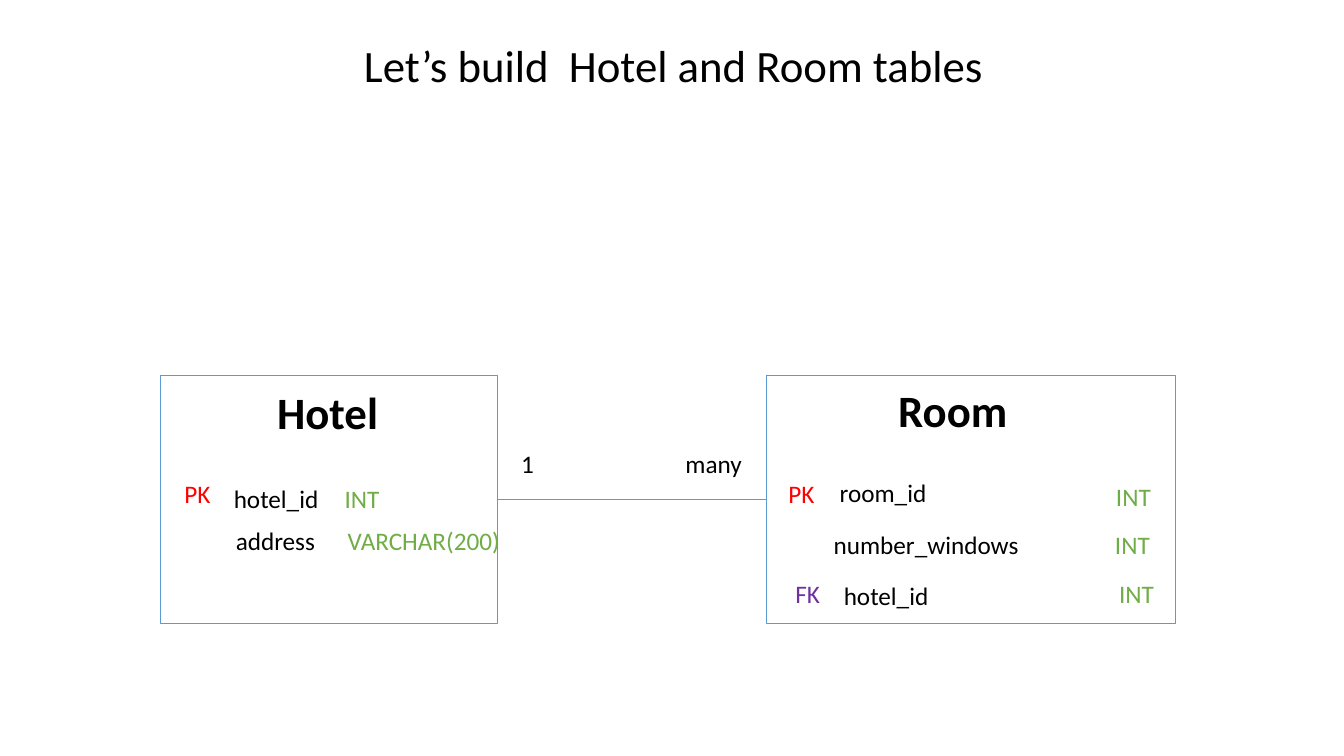
from dataclasses import dataclass

from lxml.etree import SubElement
from pptx import Presentation
from pptx.dml.color import RGBColor
from pptx.enum.shapes import MSO_CONNECTOR, MSO_SHAPE
from pptx.enum.text import MSO_ANCHOR, MSO_AUTO_SIZE, PP_ALIGN
from pptx.oxml.ns import qn
from pptx.util import Inches, Pt


@dataclass(frozen=True)
class Theme:
    font: str = "Calibri"
    heading_size: int = 32
    label_size: int = 18
    line_width: float = 0.5
    text: str = "000000"
    primary_key: str = "FF0000"
    foreign_key: str = "7030A0"
    data_type: str = "70AD47"
    outline: str = "5B9BD5"


class Diagram:
    """Draws table diagrams on one slide in one theme."""

    def __init__(self, slide, theme):
        self.slide = slide
        self.theme = theme

    def fill_text(self, box, text, size, color, bold=False):
        frame = box.text_frame
        frame.word_wrap = False
        frame.auto_size = MSO_AUTO_SIZE.SHAPE_TO_FIT_TEXT
        frame.vertical_anchor = MSO_ANCHOR.TOP
        paragraph = frame.paragraphs[0]
        paragraph.alignment = PP_ALIGN.LEFT
        run = paragraph.add_run()
        run.text = text
        run.font.name = self.theme.font
        run.font.size = Pt(size)
        run.font.bold = bold
        run.font.color.rgb = RGBColor.from_string(color)

    def title(self, text, left, top, width, height):
        title = self.slide.shapes.title
        title.left, title.top = Inches(left), Inches(top)
        title.width, title.height = Inches(width), Inches(height)
        self.fill_text(title, text, self.theme.heading_size, self.theme.text)

    def heading(self, text, left, top, width):
        box = self.slide.shapes.add_textbox(
            Inches(left), Inches(top), Inches(width), Inches(0.64))
        self.fill_text(box, text, self.theme.heading_size, self.theme.text, bold=True)

    def label(self, text, left, top, width, color):
        box = self.slide.shapes.add_textbox(
            Inches(left), Inches(top), Inches(width), Inches(0.4))
        self.fill_text(box, text, self.theme.label_size, color)

    def style_line(self, line):
        line.color.rgb = RGBColor.from_string(self.theme.outline)
        line.width = Pt(self.theme.line_width)

    def frame(self, left, top, width, height):
        frame = self.slide.shapes.add_shape(
            MSO_SHAPE.RECTANGLE,
            Inches(left), Inches(top), Inches(width), Inches(height))
        frame.shadow.inherit = False
        frame.fill.background()
        self.style_line(frame.line)

    def relation(self, start, end, y):
        relation = self.slide.shapes.add_connector(
            MSO_CONNECTOR.STRAIGHT, Inches(start), Inches(y), Inches(end), Inches(y))
        self.style_line(relation.line)
        SubElement(relation._element.spPr, qn("a:effectLst"))


def main():
    presentation = Presentation()
    presentation.slide_width = Inches(13.33)
    presentation.slide_height = Inches(7.5)
    title_only = presentation.slide_layouts[5]
    theme = Theme()
    diagram = Diagram(presentation.slides.add_slide(title_only), theme)

    diagram.title("Let’s build  Hotel and Room tables", 3.51, 0.32, 6.41, 0.64)

    frame_top, frame_height = 3.72, 2.46
    hotel_left, hotel_width = 1.59, 3.34
    room_left, room_width = 7.6, 4.06
    diagram.frame(hotel_left, frame_top, hotel_width, frame_height)
    diagram.frame(room_left, frame_top, room_width, frame_height)
    diagram.relation(hotel_left + hotel_width, room_left, 4.95)

    diagram.heading("Hotel", 2.65, 3.77, 1.22)
    diagram.heading("Room", 8.81, 3.75, 1.29)

    key_width, int_width = 0.46, 0.55
    labels_by_color = {
        theme.text: [
            ("1", 5.07, 4.4, 0.33),
            ("many", 6.7, 4.4, 0.77),
            ("hotel_id", 2.22, 4.75, 1.08),
            ("address", 2.24, 5.16, 1),
            ("room_id", 8.23, 4.69, 1.07),
            ("number_windows", 8.17, 5.2, 2.09),
            ("hotel_id", 8.27, 5.71, 1.08),
        ],
        theme.primary_key: [
            ("PK", 1.73, 4.7, key_width),
            ("PK", 7.72, 4.7, key_width),
        ],
        theme.foreign_key: [("FK", 7.79, 5.69, key_width)],
        theme.data_type: [
            ("INT", 3.32, 4.75, int_width),
            ("VARCHAR(200)", 3.35, 5.16, 1.73),
            ("INT", 10.97, 4.73, int_width),
            ("INT", 10.96, 5.2, int_width),
            ("INT", 11, 5.69, int_width),
        ],
    }
    for color, labels in labels_by_color.items():
        for text, left, top, width in labels:
            diagram.label(text, left, top, width, color)

    presentation.save("out.pptx")


if __name__ == "__main__":
    main()
